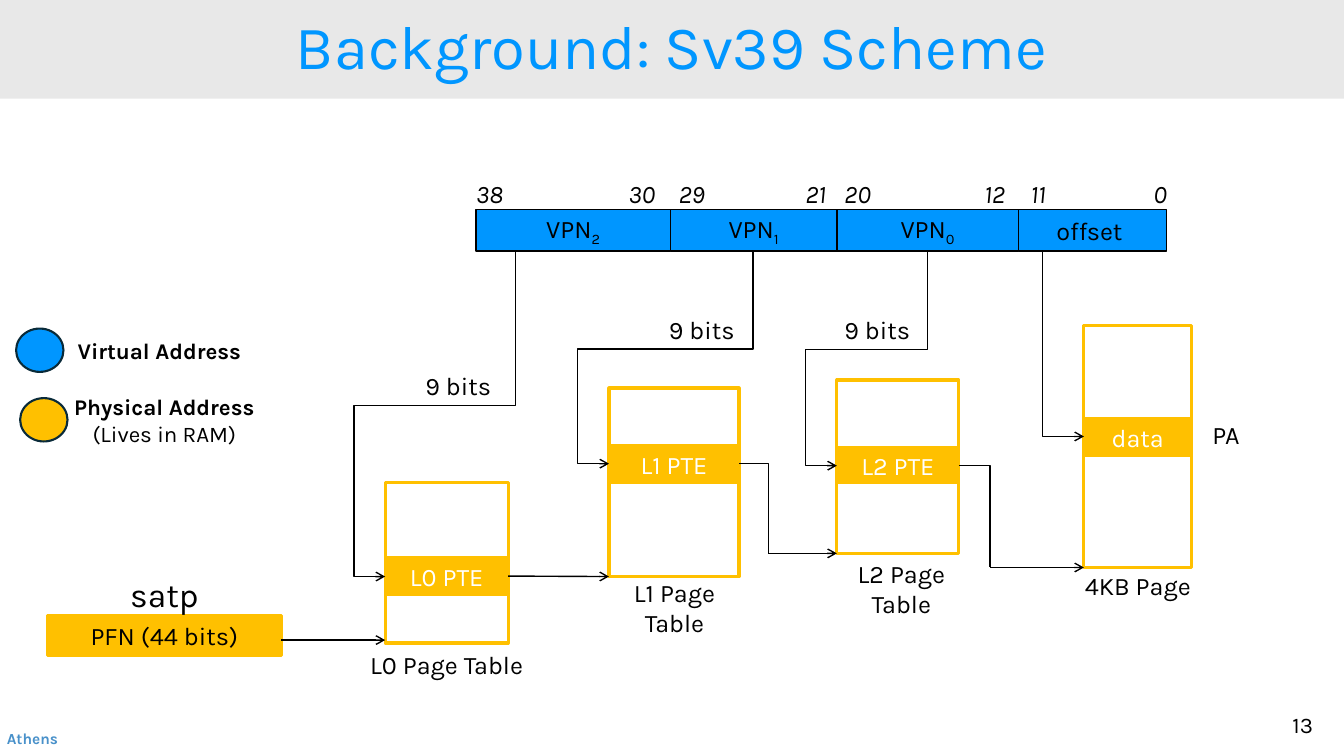
from itertools import pairwise
from lxml.etree import SubElement
from pptx import Presentation
from pptx.dml.color import RGBColor
from pptx.enum.shapes import MSO_CONNECTOR, MSO_SHAPE
from pptx.enum.text import MSO_ANCHOR, PP_ALIGN
from pptx.oxml.ns import qn
from pptx.util import Inches, Pt

BLACK = RGBColor(0x00, 0x00, 0x00)
WHITE = RGBColor(0xFF, 0xFF, 0xFF)
BLUE = RGBColor(0x00, 0x96, 0xFF)
GOLD = RGBColor(0xFF, 0xC0, 0x00)
GREY = RGBColor(0xE8, 0xE8, 0xE8)
NAVY = RGBColor(0x09, 0x2A, 0x39)
FOOTER_BLUE = RGBColor(0x49, 0x91, 0xCA)


def write(shape, text, size=18, color=BLACK, bold=False, italic=False, align=PP_ALIGN.CENTER):
    frame = shape.text_frame
    frame.text = text
    frame.word_wrap = True
    frame.vertical_anchor = MSO_ANCHOR.MIDDLE
    for para in frame.paragraphs:
        para.alignment = align
        for span in para.runs:
            span.font.name = "Karla"
            span.font.size = Pt(size)
            span.font.color.rgb = color
            span.font.bold = bold
            span.font.italic = italic
    return frame


def draw_line(x1, y1, x2, y2, arrow=True, kind=MSO_CONNECTOR.STRAIGHT):
    line = slide.shapes.add_connector(kind, Inches(x1), Inches(y1), Inches(x2), Inches(y2))
    line.line.color.rgb = BLACK
    line.line.width = Pt(1)
    if arrow:
        SubElement(line.line._get_or_add_ln(), qn("a:tailEnd"), type="arrow")
    SubElement(line._element.spPr, qn("a:effectLst"))
    return line


deck = Presentation()
deck.slide_width = Inches(13.33)
deck.slide_height = Inches(7.5)
slide = deck.slides.add_slide(deck.slide_layouts[5])

title = slide.shapes.title
title.left, title.top, title.width, title.height = 0, 0, Inches(13.33), Inches(0.98)
title.fill.solid()
title.fill.fore_color.rgb = GREY
write(title, "Background: Sv39 Scheme", 44, BLUE).paragraphs[0].line_spacing = 0.9

rectangles = []
field_edges = [4.72, 6.65, 8.3, 10.1, 11.57]
for (left, right), name in zip(pairwise(field_edges), ["VPN2", "VPN1", "VPN0", "offset "]):
    rectangles.append((left, 2.08, right - left, 0.41, BLUE, BLACK, 1, name, BLACK))

tables = [
    (3.82, 1.22, [4.79, 5.53, 5.9, 6.38], "L0 PTE"),
    (6.04, 1.29, [3.85, 4.42, 4.79, 5.72], "L1 PTE"),
    (8.3, 1.21, [3.77, 4.44, 4.79, 5.49], "L2 PTE"),
    (10.75, 1.07, [3.23, 4.15, 4.52, 5.63], "data"),
]
for left, width, edges, entry in tables:
    for (top, bottom), name in zip(pairwise(edges), ["", entry, ""]):
        fill = GOLD if name else WHITE
        rectangles.append((left, top, width, bottom - top, fill, GOLD, 2.25, name, WHITE))
rectangles.append((0.47, 6.11, 2.32, 0.39, GOLD, GOLD, 2.25, "PFN (44 bits)", BLACK))

boxes = {}
for left, top, width, height, fill, outline, weight, name, color in rectangles:
    box = slide.shapes.add_shape(
        MSO_SHAPE.RECTANGLE, Inches(left), Inches(top), Inches(width), Inches(height))
    box.shadow.inherit = False
    box.fill.solid()
    box.fill.fore_color.rgb = fill
    box.line.color.rgb = outline
    box.line.width = Pt(weight)
    if name:
        boxes[name] = box
        frame = write(box, name, color=color)
        if fill == BLUE:
            frame.margin_left = frame.margin_right = frame.margin_top = frame.margin_bottom = 0
        if name.startswith("VPN"):
            para = frame.paragraphs[0]
            para.runs[0].text = "VPN"
            index = para.add_run()
            index.text = name[-1]
            index.font.name = "Karla"
            index.font.size = Pt(18)
            index.font.color.rgb = color
            index.font._element.set("baseline", "-25000")

draw_line(2.79, 6.35, 3.82, 6.35)
draw_line(5.04, 5.72, 6.04, 5.72).begin_connect(boxes["L0 PTE"], 3)
draw_line(7.62, 5.49, 8.3, 5.49)
draw_line(9.82, 5.63, 10.75, 5.63)

index_paths = [
    (5.11, 4.02, 3.51, 3.82, 5.72),
    (7.47, 3.46, 5.73, 6.04, 4.6),
    (9.2, 3.47, 7.99, 8.3, 4.62),
]
elbows = []
for x1, turn_y, turn_x, x2, y2 in index_paths:
    adjust = [(turn_y - 2.49) / (y2 - 2.49), (x1 - turn_x) / (x1 - x2)]
    elbows.append((x1, 2.49, x2, y2, "bentConnector4", 90, adjust, True))
elbows += [
    (10.34, 2.49, 10.75, 4.33, "bentConnector2", 270, [], True),
    (7.33, 4.6, 7.62, 5.49, "bentConnector2", 0, [], False),
    (9.51, 4.62, 9.82, 5.63, "bentConnector2", 0, [], False),
]
for x1, y1, x2, y2, preset, turn, adjust, arrow in elbows:
    width, height = abs(x2 - x1), y2 - y1
    if turn:
        width, height = height, width
    left, top = (x1 + x2 - width) / 2, (y1 + y2 - height) / 2
    elbow = draw_line(left, top, left + width, top + height, arrow, MSO_CONNECTOR.ELBOW)
    geometry = elbow._element.spPr.find(qn("a:prstGeom"))
    geometry.set("prst", preset)
    for number, value in enumerate(adjust, 1):
        SubElement(geometry.find(qn("a:avLst")), qn("a:gd"),
                   name=f"adj{number}", fmla=f"val {round(value * 100000)}")
    frame = elbow._element.spPr.find(qn("a:xfrm"))
    frame.set("rot", str(turn * 60000))
    if turn == 270:
        frame.set("flipH", "1")

for left, top, color in [(0.16, 3.26, BLUE), (0.2, 3.95, GOLD)]:
    dot = slide.shapes.add_shape(
        MSO_SHAPE.OVAL, Inches(left), Inches(top), Inches(0.47), Inches(0.43))
    dot.shadow.inherit = False
    dot.fill.solid()
    dot.fill.fore_color.rgb = color
    dot.line.color.rgb = NAVY
    dot.line.width = Pt(1.5)

bits = [(4.53, 0.65, "38"), (5.98, 0.77, "30"), (6.55, 0.62, "29"), (7.78, 0.62, "21"),
        (8.19, 0.63, "20"), (9.55, 0.63, "12"), (9.97, 0.65, "11"), (11.31, 0.39, "0")]
labels = [(left, 1.8, width, 0.23, text, {"italic": True}) for left, width, text in bits]
labels += [
    (3.94, 3.71, 1.21, 0.23, "9 bits", {}),
    (6.39, 3.15, 1.14, 0.23, "9 bits", {}),
    (8.13, 3.15, 1.14, 0.23, "9 bits", {}),
    (3.27, 6.44, 2.32, 0.3, "L0 Page Table", {}),
    (5.99, 5.81, 1.4, 0.44, "L1 Page Table", {}),
    (8.24, 5.62, 1.4, 0.44, "L2 Page Table", {}),
    (10.48, 5.67, 1.61, 0.28, "4KB Page", {}),
    (11.89, 4.13, 0.54, 0.37, "PA", {}),
    (1.12, 5.74, 1.02, 0.3, "satp", {"size": 24}),
    (0.24, 3.29, 2.68, 0.37, "Virtual Address", {"size": 16, "bold": True}),
    (0.29, 3.85, 2.68, 0.64, "Physical Address\n(Lives in RAM)", {"size": 16, "bold": True}),
    (-0.03, 7.18, 0.73, 0.29, "Athens",
     {"size": 11, "color": FOOTER_BLUE, "bold": True, "align": PP_ALIGN.LEFT}),
    (12.72, 7, 0.63, 0.37, "13", {"size": 16, "align": PP_ALIGN.LEFT}),
]
for left, top, width, height, text, style in labels:
    label = slide.shapes.add_textbox(Inches(left), Inches(top), Inches(width), Inches(height))
    frame = write(label, text, **style)
    for para in frame.paragraphs[1:]:
        para.runs[0].font.bold = False
    if text == "Athens":
        frame.word_wrap = False

deck.save("out.pptx")
